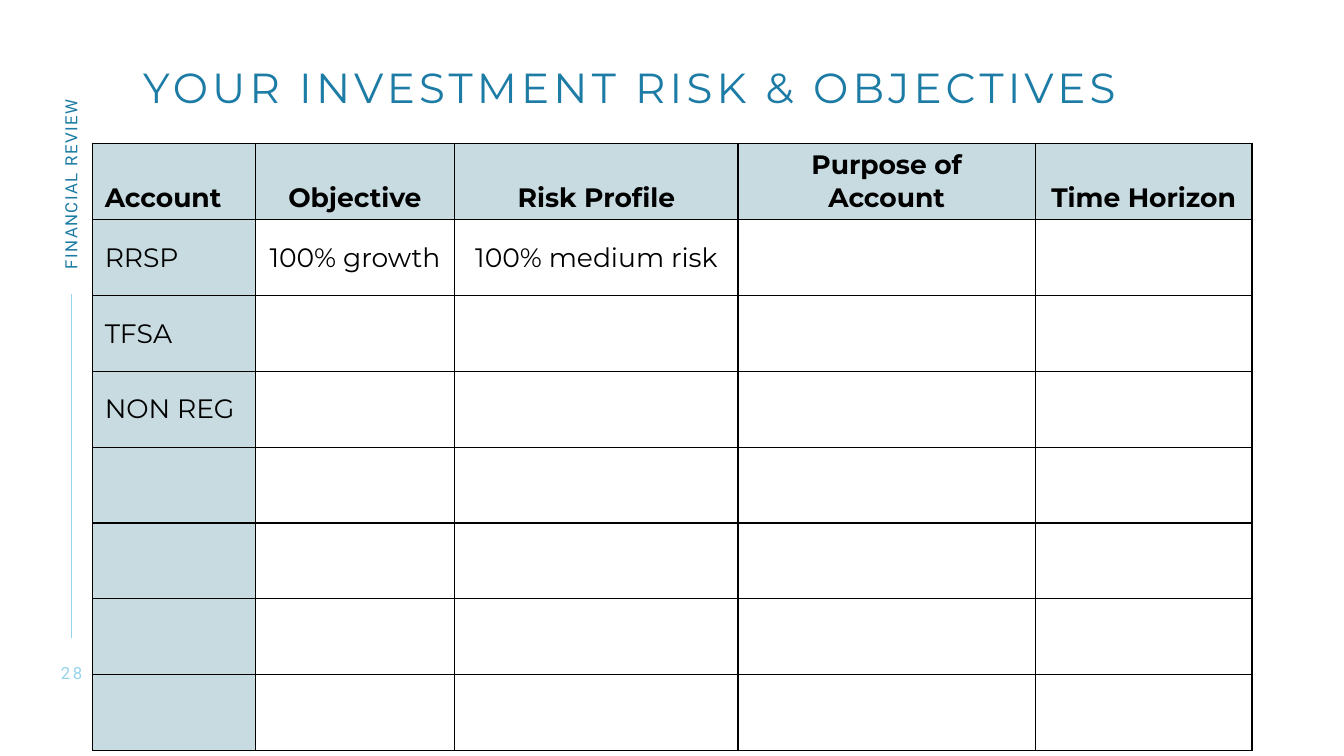
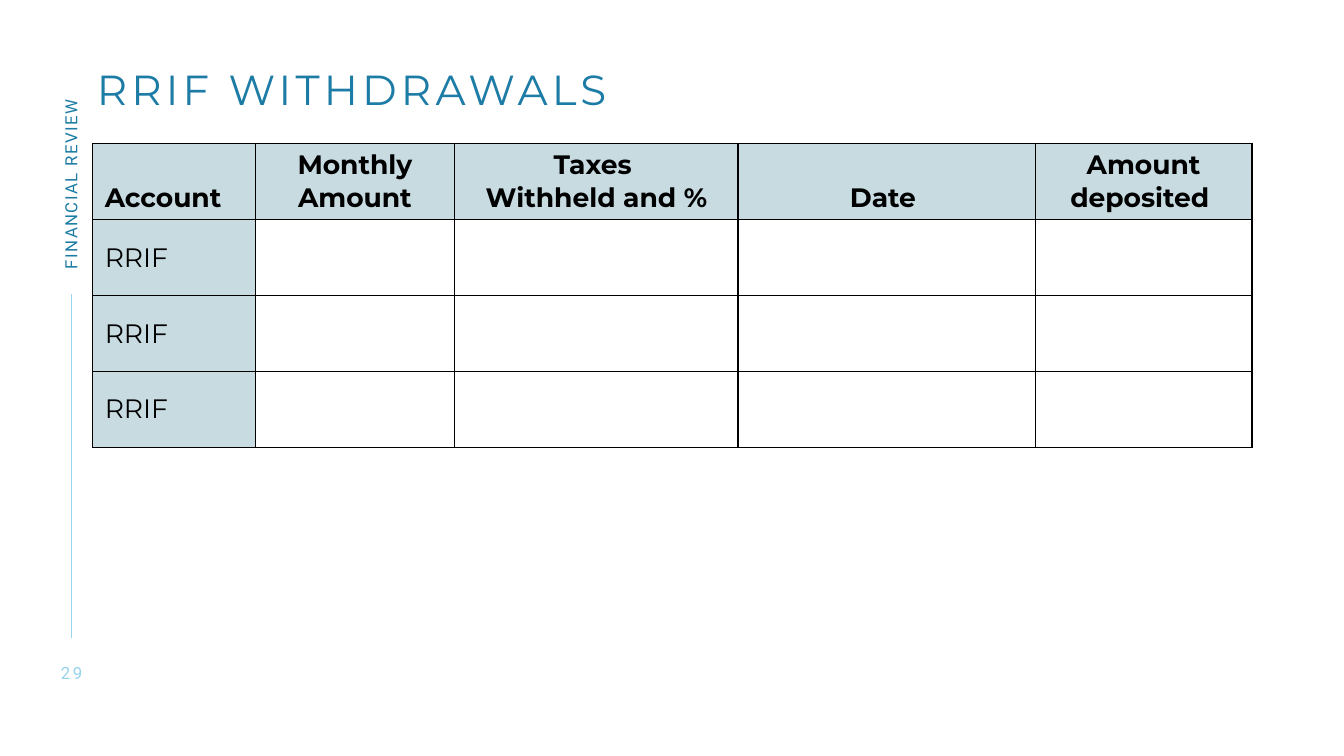
from lxml import etree
from pptx import Presentation
from pptx import util as u
from pptx.dml.color import RGBColor
from pptx.enum import shapes, text as t
from pptx.oxml import ns

BLUE, PALE_BLUE, HEADER, WHITE, BLACK = "1C7CA5", "96D3ED", "C7DBE1", "FFFFFF", "000000"
HEADING_FONT, LABEL_FONT = "Montserrat", "Roboto"

COLUMN_WIDTHS = [4.09, 5.03, 7.14, 7.49, 5.46]
HEADER_HEIGHT, ROW_HEIGHT = 1.93, 1.91

RISK_ROWS = [
    ["Account", "Objective", "Risk Profile", "Purpose of Account", "Time Horizon"],
    ["RRSP", "100% growth", "100% medium risk"],
    ["TFSA"],
    ["NON REG"],
    [], [], [], [],
]
WITHDRAWAL_ROWS = [
    ["Account", "Monthly Amount", "Taxes \nWithheld and %", "Date ", "Amount deposited "],
    ["RRIF"], ["RRIF"], ["RRIF"],
]


def rgb(value):
    return RGBColor.from_string(value)


def write_text(frame, text, *, font=HEADING_FONT, size=19, color=BLACK, bold=False,
               align=t.PP_ALIGN.LEFT, tracking=0, line_spacing=1.0, after=0):
    """Fill a text frame, one paragraph per line; tracking is in points."""
    for index, line in enumerate(text.split("\n")):
        para = frame.paragraphs[0] if index == 0 else frame.add_paragraph()
        para.alignment = align
        para.line_spacing = line_spacing
        para.space_after = u.Pt(after)
        span = para.add_run()
        span.text = line
        span.font.name = font
        span.font.size = u.Pt(size)
        span.font.bold = bold
        span.font.color.rgb = rgb(color)
        if tracking:
            span.font._element.set("spc", str(tracking * 100))


def add_text_box(page, text, left, top, width, height, *, rotation=0,
                 anchor=t.MSO_ANCHOR.MIDDLE, **text_format):
    box = page.shapes.add_textbox(u.Cm(left), u.Cm(top), u.Cm(width), u.Cm(height))
    box.rotation = rotation
    frame = box.text_frame
    frame.word_wrap = True
    frame.vertical_anchor = anchor
    frame.margin_left = frame.margin_right = frame.margin_top = frame.margin_bottom = 0
    write_text(frame, text, after=6, **text_format)


def add_side_rule(page):
    rule = page.shapes.add_connector(shapes.MSO_CONNECTOR.STRAIGHT,
                                     u.Cm(1.8), u.Cm(7.42), u.Cm(1.8), u.Cm(16.08))
    rule.line.color.rgb = rgb(PALE_BLUE)
    rule.line.width = u.Pt(1)
    etree.SubElement(rule._element.spPr, ns.qn("a:effectLst"))


def add_page(deck, title, number, title_left, title_top):
    """Add a blank page with the shared title, side label, rule and page number."""
    page = deck.slides.add_slide(deck.slide_layouts[6])
    add_side_rule(page)
    add_text_box(page, title, title_left, title_top, 27.94, 2.54,
                 anchor=t.MSO_ANCHOR.TOP, size=30, color=BLUE, tracking=3, line_spacing=0.9)
    add_text_box(page, str(number), 1.17, 16.71, 1.27, 0.51, font=LABEL_FONT, size=12,
                 color=PALE_BLUE, tracking=2, align=t.PP_ALIGN.CENTER)
    add_text_box(page, "FINANCIAL REVIEW", -0.69, 4.04, 4.95, 0.53, rotation=270,
                 font=LABEL_FONT, size=12, color=BLUE, tracking=1)
    return page


def set_borders(cell, color=BLACK, width=1):
    properties = cell._tc.get_or_add_tcPr()
    for index, side in enumerate(("lnL", "lnR", "lnT", "lnB")):
        border = etree.Element(ns.qn(f"a:{side}"), w=str(u.Pt(width)))
        fill = etree.SubElement(border, ns.qn("a:solidFill"))
        etree.SubElement(fill, ns.qn("a:srgbClr"), val=color)
        properties.insert(index, border)


def format_cell(cell, text, is_header, is_first_column):
    cell.fill.solid()
    cell.fill.fore_color.rgb = rgb(HEADER if is_header or is_first_column else WHITE)
    set_borders(cell)
    cell.margin_left = cell.margin_right = u.Cm(0.3)
    cell.margin_top = cell.margin_bottom = u.Cm(0.15)
    cell.vertical_anchor = t.MSO_ANCHOR.BOTTOM if is_header else t.MSO_ANCHOR.MIDDLE
    if text:
        write_text(cell.text_frame, text, bold=is_header,
                   align=t.PP_ALIGN.LEFT if is_first_column else t.PP_ALIGN.CENTER)


def add_account_table(page, rows):
    """Add a table; rows shorter than the header end in empty cells."""
    heights = [HEADER_HEIGHT] + [ROW_HEIGHT] * (len(rows) - 1)
    table = page.shapes.add_table(len(rows), len(COLUMN_WIDTHS), u.Cm(2.34), u.Cm(3.61),
                                  u.Cm(sum(COLUMN_WIDTHS)), u.Cm(sum(heights))).table
    table.horz_banding = False
    for column, width in zip(table.columns, COLUMN_WIDTHS):
        column.width = u.Cm(width)
    for row_index, (row, height, texts) in enumerate(zip(table.rows, heights, rows)):
        row.height = u.Cm(height)
        for column_index, cell in enumerate(row.cells):
            text = texts[column_index] if column_index < len(texts) else ""
            format_cell(cell, text, row_index == 0, column_index == 0)


def main():
    deck = Presentation()
    deck.slide_width, deck.slide_height = u.Cm(33.87), u.Cm(19.05)
    risk_page = add_page(deck, "YOUR INVESTMENT RISK & OBJECTIVES", 28, 3.61, 1.7)
    add_account_table(risk_page, RISK_ROWS)
    withdrawal_page = add_page(deck, "RRIF WITHDRAWALS", 29, 2.44, 1.75)
    add_account_table(withdrawal_page, WITHDRAWAL_ROWS)
    deck.save("out.pptx")


if __name__ == "__main__":
    main()
